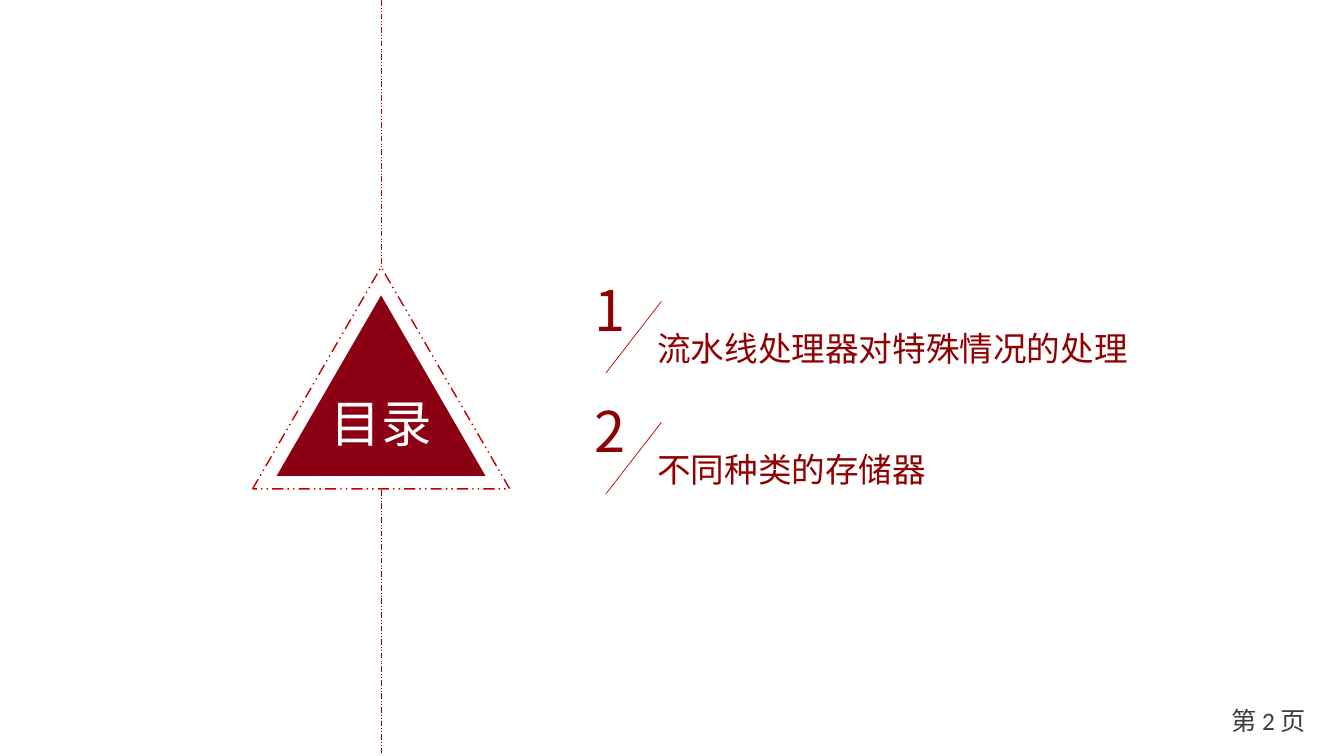
from lxml.etree import SubElement
from pptx import Presentation
from pptx.dml.color import RGBColor
from pptx.enum.dml import MSO_LINE
from pptx.enum.shapes import MSO_CONNECTOR, MSO_SHAPE
from pptx.enum.text import MSO_ANCHOR, PP_ALIGN
from pptx.oxml.ns import qn
from pptx.util import Inches, Pt

WIDTH, HEIGHT = 13.33, 7.5
AXIS = 3.78
FIRST_ROW, ROW_PITCH = 2.68, 1.2
TOPICS = ["流水线处理器对特殊情况的处理", "不同种类的存储器"]

WINE = RGBColor(0x8B, 0x00, 0x12)
RED = RGBColor(0xC0, 0x00, 0x00)
DARK_RED = RGBColor(0x90, 0x00, 0x00)
GREY = RGBColor(0x3C, 0x3C, 0x3C)
WHITE = RGBColor(0xFF, 0xFF, 0xFF)
CJK_FONT = "Noto Sans CJK SC"
DASH = MSO_LINE.DASH_DOT_DOT


def write(box, text, size, color, font=CJK_FONT, align=PP_ALIGN.LEFT, **frame_format):
    frame = box.text_frame
    for name, value in {"word_wrap": True, **frame_format}.items():
        setattr(frame, name, value)
    para = frame.paragraphs[0]
    para.alignment = align
    span = para.add_run()
    span.text = text
    for name, value in {"name": font, "size": Pt(size)}.items():
        setattr(span.font, name, value)
    span.font.color.rgb = color
    # East Asian characters take their typeface from a separate element
    SubElement(span.font._element, qn("a:ea"), typeface=CJK_FONT)


def add_text(page, left, top, width, height, text, size, color, **formats):
    box = page.shapes.add_textbox(*map(Inches, (left, top, width, height)))
    write(box, text, size, color, **formats)


def style_line(line, color, width, dash=None):
    line.color.rgb = color
    line.width = Pt(width)
    if dash:
        line.dash_style = dash


def add_line(page, start, end, color, dash=None):
    line = page.shapes.add_connector(MSO_CONNECTOR.STRAIGHT, *map(Inches, start + end))
    style_line(line.line, color, 0.5, dash)
    SubElement(line._element.spPr, qn("a:effectLst"))


def add_triangle(page, top, width, height):
    """Add an unfilled, unstyled triangle centred on the vertical axis."""
    triangle = page.shapes.add_shape(
        MSO_SHAPE.ISOSCELES_TRIANGLE,
        *map(Inches, (AXIS - width / 2, top, width, height)))
    triangle.shadow.inherit = False
    triangle.fill.background()
    return triangle


def add_title_emblem(page):
    emblem = add_triangle(page, 2.93, 2.07, 1.79)
    emblem.fill.solid()
    emblem.fill.fore_color.rgb = WINE
    emblem.line.fill.background()
    write(emblem, "目录", 36, WHITE, align=PP_ALIGN.CENTER,
          vertical_anchor=MSO_ANCHOR.MIDDLE, margin_left=0, margin_top=0,
          margin_right=0, margin_bottom=Inches(0.16))

    outline = add_triangle(page, 2.65, 2.55, 2.2)
    style_line(outline.line, RED, 1, DASH)
    add_line(page, (AXIS, 0), (AXIS, 2.65), RED, DASH)
    add_line(page, (AXIS, 4.86), (AXIS, HEIGHT), WINE, DASH)


def add_topic(page, index, topic):
    top = FIRST_ROW + index * ROW_PITCH
    add_text(page, 6.42, top + 0.52, 5.39, 0.5, topic, 24, DARK_RED)
    add_line(page, (6.56, top + 0.31), (6.01, top + 1.02), RED)
    add_text(page, 5.8, top, 0.42, 0.77, str(index + 1), 40, DARK_RED)


def main():
    deck = Presentation()
    deck.slide_width, deck.slide_height = Inches(WIDTH), Inches(HEIGHT)
    page = deck.slides.add_slide(deck.slide_layouts[6])
    add_title_emblem(page)
    for index, topic in enumerate(TOPICS):
        add_topic(page, index, topic)
    add_text(page, 11.48, 6.95, 1.57, 0.4, "第 2 页", 18, GREY, font="Calibri",
             align=PP_ALIGN.RIGHT, vertical_anchor=MSO_ANCHOR.MIDDLE)
    deck.save("out.pptx")


if __name__ == "__main__":
    main()
